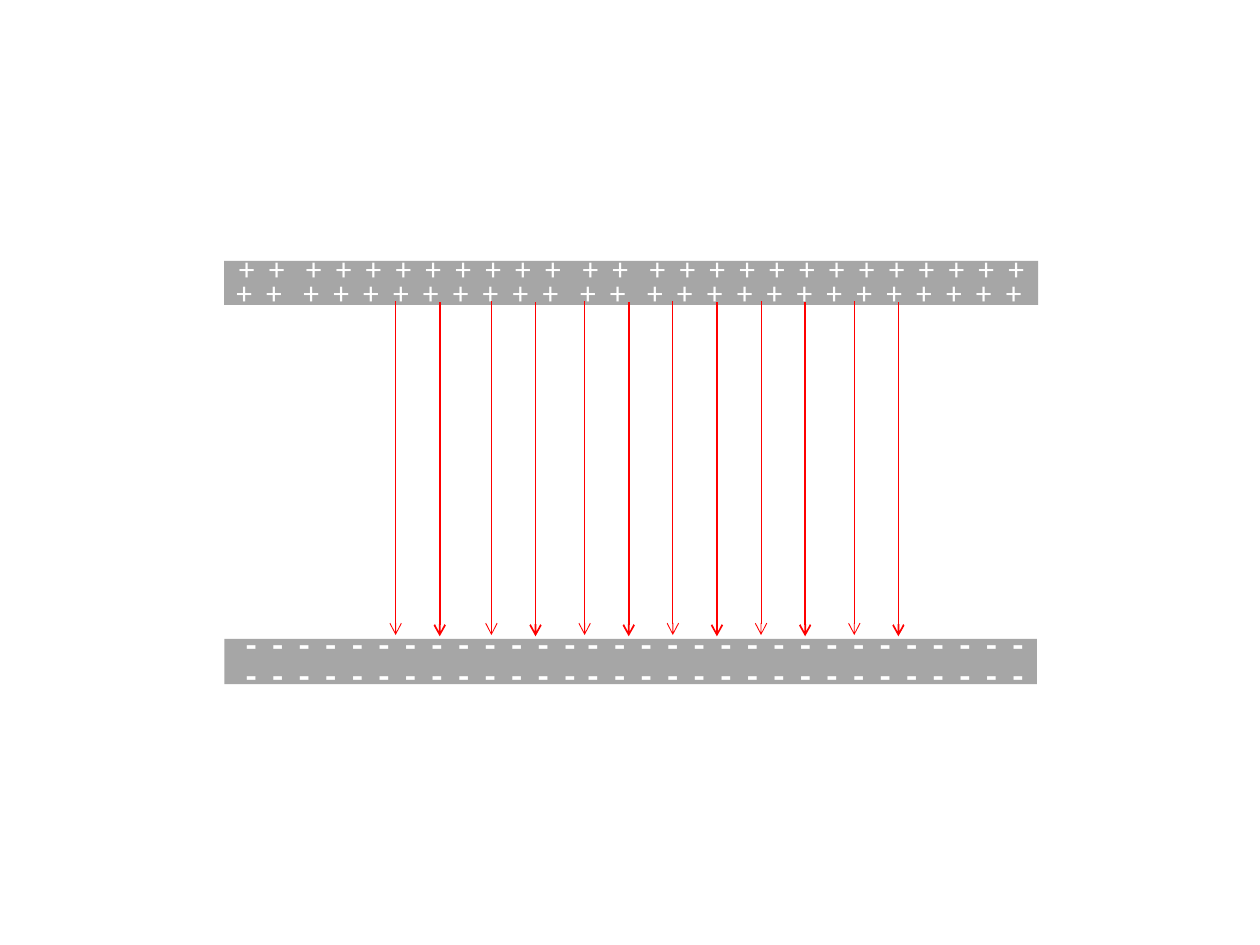
from pptx import Presentation
from pptx.dml.color import RGBColor
from pptx.enum.shapes import MSO_CONNECTOR, MSO_SHAPE
from pptx.enum.text import MSO_AUTO_SIZE, PP_ALIGN
from pptx.oxml.ns import qn
from pptx.util import Inches, Pt
from lxml import etree

COLORS = {"plate": "A6A6A6", "charge": "FFFFFF", "field": "FF0000"}

prs = Presentation()
prs.slide_width, prs.slide_height = Inches(10), Inches(7.5)
s = prs.slides.add_slide(prs.slide_layouts[6])


def add_charges(box, sign, counts, size, bold, spacing, gap):
    """One row of charges; spacing and gap are letter spacing in 1/100 pt."""
    tb = s.shapes.add_textbox(*[Inches(v) for v in box])
    tf = tb.text_frame
    tf.word_wrap = True
    tf.auto_size = MSO_AUTO_SIZE.SHAPE_TO_FIT_TEXT
    p = tf.paragraphs[0]
    p.alignment = PP_ALIGN.CENTER
    runs = []
    for n in counts:
        runs += [(" ", gap), (" ".join([sign] * n), spacing)]
    for text, spc in runs[1:]:
        r = p.add_run()
        r.text = text
        r.font.name = "Calibri"
        r.font.size = Pt(size)
        r.font.bold = bold
        r.font.color.rgb = RGBColor.from_string(COLORS["charge"])
        r.font._element.set("spc", str(spc))


# Plates
for top, width, height in [(2.07, 6.46, 0.35), (5.07, 6.45, 0.36)]:
    plate = s.shapes.add_shape(MSO_SHAPE.RECTANGLE, Inches(1.78), Inches(top),
                               Inches(width), Inches(height))
    plate.shadow.inherit = False
    plate.fill.solid()
    plate.fill.fore_color.rgb = RGBColor.from_string(COLORS["plate"])
    plate.line.fill.background()

# Positive and negative charges
for left, top in [(1.71, 2.12), (1.73, 1.93)]:
    add_charges((left, top, 6.57, 0.4), "+", [2, 9, 2, 13], 18, False, 203, 610)
for top in (5.14, 4.89):
    add_charges((1.81, top, 6.46, 0.44), "-", [13, 17], 20, True, 226, -226)

# Field lines: a heavy set and a thin set shifted to the left
for shift, top, weight in [(0, 2.4, 1), (-0.35, 2.39, 0.5)]:
    group = s.shapes.add_group_shape()
    for x in (3.49, 4.25, 4.99, 5.69, 6.39, 7.13):
        arrow = group.shapes.add_connector(
            MSO_CONNECTOR.STRAIGHT, Inches(x + shift), Inches(top),
            Inches(x + shift), Inches(top + 2.65))
        arrow.line.color.rgb = RGBColor.from_string(COLORS["field"])
        arrow.line.width = Pt(weight)
        etree.SubElement(arrow.line._get_or_add_ln(), qn("a:tailEnd"), type="arrow")
        etree.SubElement(arrow._element.spPr, qn("a:effectLst"))

prs.save("out.pptx")
